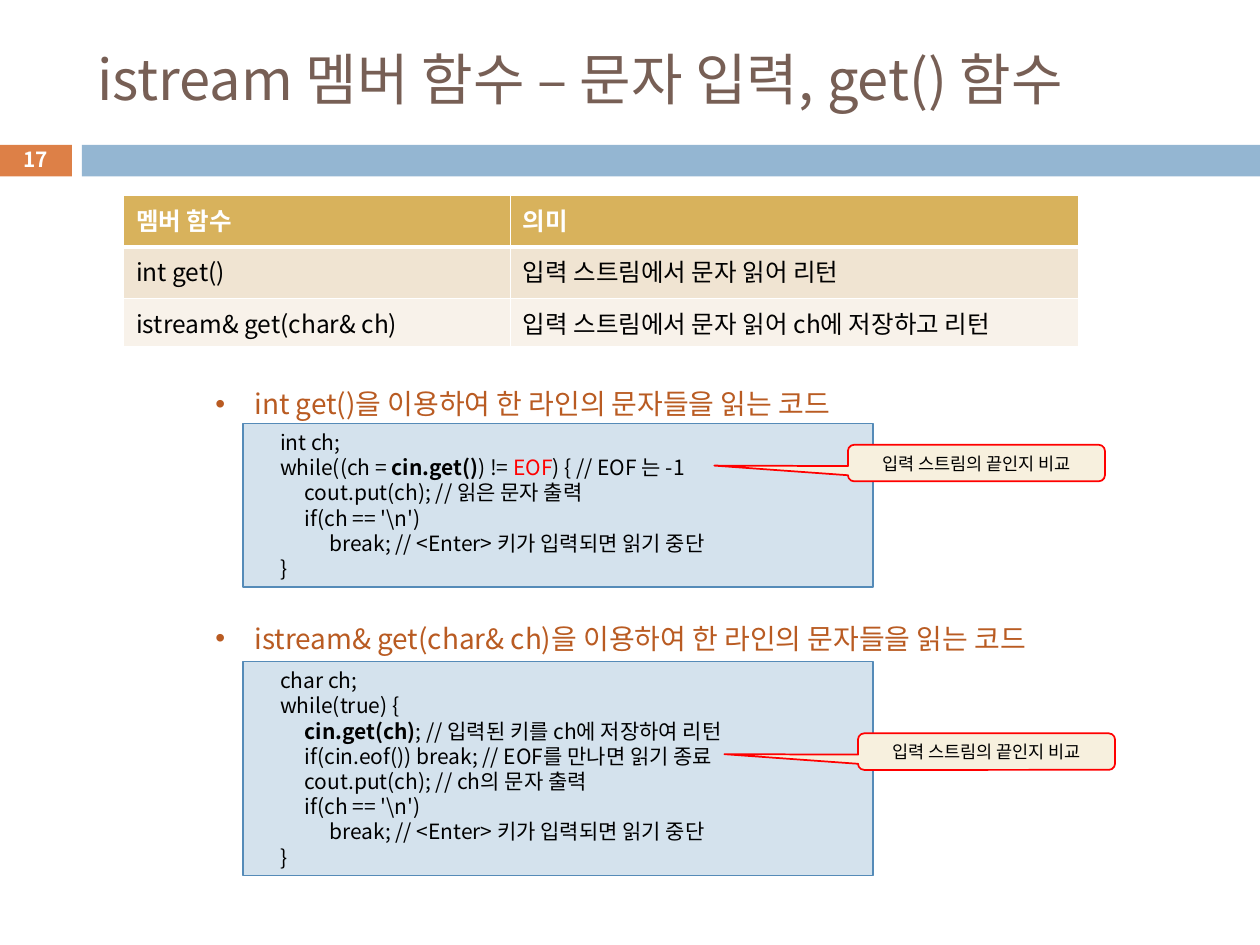
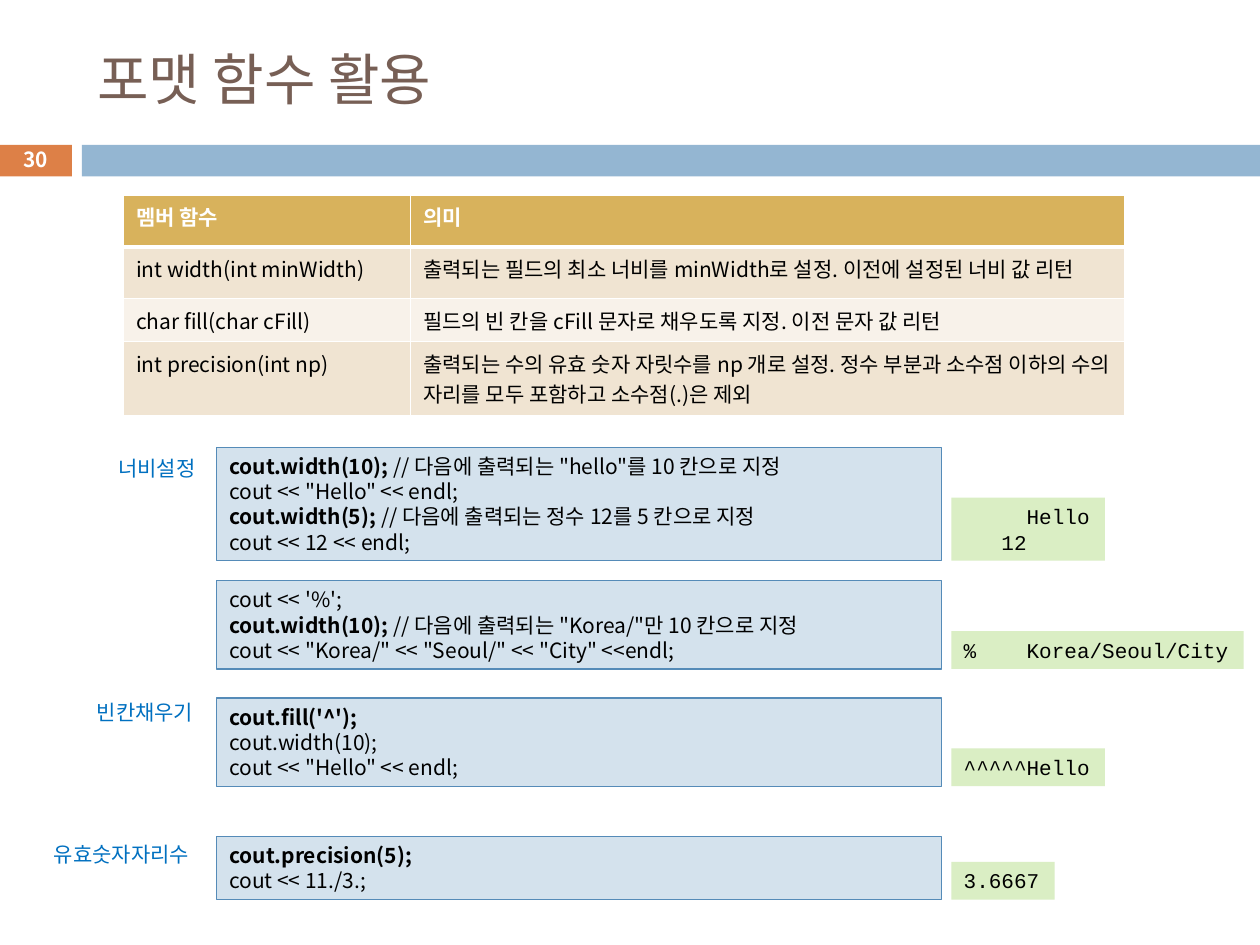
from dataclasses import dataclass

import lxml.etree
import pptx
import pptx.dml.color
import pptx.enum.shapes
import pptx.enum.text
import pptx.oxml.ns
import pptx.util

SHAPE = pptx.enum.shapes.MSO_SHAPE
ALIGN = pptx.enum.text.PP_ALIGN
ANCHOR = pptx.enum.text.MSO_ANCHOR
qn = pptx.oxml.ns.qn


@dataclass(frozen=True)
class Theme:
    font: str = "Noto Sans CJK KR"
    mono: str = "Courier New"
    title: str = "775F55"
    number_band: str = "DD8047"
    band: str = "94B6D2"
    header: str = "D8B25C"
    stripes: tuple = ("F0E4D2", "F8F2EA")
    code: str = "D4E2ED"
    code_line: str = "558BB8"
    output: str = "DAEEC4"
    callout: str = "F7F0DE"
    red: str = "FF0000"
    bullet: str = "B95B22"
    label: str = "0070C0"
    black: str = "000000"
    white: str = "FFFFFF"
    title_size: float = 32
    bullet_size: float = 16
    wide_table_size: float = 14
    body_size: float = 12
    number_size: float = 11.9
    note_size: float = 10


T = Theme()
COLS, ROWS = 100, 75
CELL = pptx.util.Inches(0.1)
INDENT = 1.95
CODE_COL, CODE_WIDTH = 17.2, 57.5
OUTPUT_COL = 75.5
BOLD = {"bold": True}


def grid(n):
    """Length of n grid cells."""
    return pptx.util.Emu(round(n * CELL))


def grid_box(*cells):
    return [grid(n) for n in cells]


def rgb(color):
    return pptx.dml.color.RGBColor.from_string(color)


def text_rows(lines):
    """Rows that body-size lines take, with the insets of their box."""
    return 2 * len(lines) + 1


def add_run(p, text, size=T.body_size, color=T.black, bold=False, font=T.font):
    r = p.add_run()
    r.text = text
    r.font.size = pptx.util.Pt(size)
    r.font.bold = bold
    r.font.color.rgb = rgb(color)
    r.font.name = font
    ea = lxml.etree.SubElement(r._r.get_or_add_rPr(), qn("a:ea"))
    ea.set("typeface", font)


def write(tf, lines, align=ALIGN.LEFT, anchor=ANCHOR.TOP, wrap=True,
          exact=True, **fmt):
    """Write lines: a string, or (depth, segment...) with segments as
    strings or (string, format) pairs."""
    tf.word_wrap = wrap
    tf.auto_size = pptx.enum.text.MSO_AUTO_SIZE.NONE
    tf.vertical_anchor = anchor
    for i, line in enumerate(lines):
        p = tf.paragraphs[0] if i == 0 else tf.add_paragraph()
        p.alignment = align
        p.space_before = pptx.util.Pt(0)
        if exact:
            p.line_spacing = pptx.util.Pt(1.2 * fmt.get("size", T.body_size))
        depth, *segments = (0, line) if isinstance(line, str) else line
        if depth:
            p._p.get_or_add_pPr().set("marL", str(grid(INDENT * depth)))
        for segment in segments:
            text, extra = (segment, {}) if isinstance(segment, str) else segment
            add_run(p, text, **{**fmt, **extra})


def add_box(shapes, box, fill, line=None, weight=0.75, kind=SHAPE.RECTANGLE):
    sp = shapes.add_shape(kind, *grid_box(*box))
    sp.shadow.inherit = False
    sp.fill.solid()
    sp.fill.fore_color.rgb = rgb(fill)
    if line:
        sp.line.color.rgb = rgb(line)
        sp.line.width = pptx.util.Pt(weight)
    else:
        sp.line.fill.background()
    return sp


def add_text(slide, box, lines, **fmt):
    write(slide.shapes.add_textbox(*grid_box(*box)).text_frame, lines, **fmt)


def add_code(slide, col, row, width, lines):
    sp = add_box(slide.shapes, (col, row, width, text_rows(lines)),
                 T.code, T.code_line)
    write(sp.text_frame, lines)


def add_output(slide, bottom, lines):
    """Console output, sized by its characters and standing on bottom."""
    height = text_rows(lines)
    width = max(map(len, lines)) + 2.2
    sp = add_box(slide.shapes, (OUTPUT_COL, bottom - height, width, height),
                 T.output)
    write(sp.text_frame, lines, wrap=False, font=T.mono)


def add_label(slide, row, text):
    width = 1.7 * len(text) + 2
    add_text(slide, (CODE_COL - width, row, width, 3), [text],
             wrap=False, color=T.label)


def add_callout(slide, col, row, text):
    sp = add_box(slide.shapes, (col, row, 20.4, 2.9), T.callout, T.red, 1,
                 SHAPE.ROUNDED_RECTANGULAR_CALLOUT)
    for i, value in enumerate((-1.02, 0.07, 0.17)):
        sp.adjustments[i] = value
    write(sp.text_frame, [text], align=ALIGN.CENTER, anchor=ANCHOR.MIDDLE,
          exact=False, size=T.note_size)


def fill_bullet(ph, box, text):
    ph.left, ph.top, ph.width, ph.height = grid_box(*box)
    write(ph.text_frame, [text], size=T.bullet_size, color=T.bullet)
    pPr = ph.text_frame.paragraphs[0]._p.get_or_add_pPr()
    pPr.set("marL", str(grid(3.1)))
    pPr.set("indent", str(-grid(3.1)))
    lxml.etree.SubElement(pPr, qn("a:buFont")).set("typeface", "Arial")
    lxml.etree.SubElement(pPr, qn("a:buChar")).set("char", "•")


def set_borders(cell, bottom):
    tcPr = cell._tc.get_or_add_tcPr()
    sides = (("lnL", 1), ("lnR", 1), ("lnT", 1), ("lnB", bottom))
    for i, (side, weight) in enumerate(sides):
        ln = lxml.etree.Element(qn(f"a:{side}"), w=str(pptx.util.Pt(weight)))
        fill = lxml.etree.SubElement(ln, qn("a:solidFill"))
        lxml.etree.SubElement(fill, qn("a:srgbClr")).set("val", T.white)
        tcPr.insert(i, ln)


def add_function_table(slide, widths, heights, rows, size):
    rows = [("멤버 함수", "의미"), *rows]
    frame = slide.shapes.add_table(
        len(rows), len(widths),
        *grid_box(9.8, 15.5, sum(widths), sum(heights)))
    table = frame.table
    for column, width in zip(table.columns, widths):
        column.width = grid(width)
    for i, texts in enumerate(rows):
        table.rows[i].height = grid(heights[i])
        head = i == 0
        for cell, text in zip(table.rows[i].cells, texts):
            cell.fill.solid()
            cell.fill.fore_color.rgb = rgb(
                T.header if head else T.stripes[(i - 1) % 2])
            set_borders(cell, 3 if head else 1)
            add_run(cell.text_frame.paragraphs[0], text, size=size, bold=head,
                    color=T.white if head else T.black)


def add_master_bands(prs, slide):
    """Draw the bands and move them to the back of the master."""
    tree = prs.slide_master.shapes.element
    bands = (((-0.1, 11.5, 5.8, 2.5), T.number_band),
             ((6.5, 11.5, COLS - 6.5, 2.5), T.band))
    for i, (box, color) in enumerate(bands):
        tree.insert(2 + i, add_box(slide.shapes, box, color).element)


def add_slide(prs, layout, title, number):
    slide = prs.slides.add_slide(prs.slide_layouts.get_by_name(layout))
    ph = slide.shapes.title
    ph.left, ph.top, ph.width, ph.height = grid_box(6.7, 2.5, 89.2, 7.4)
    write(ph.text_frame, [title], anchor=ANCHOR.MIDDLE, exact=False,
          size=T.title_size, color=T.title)
    add_text(slide, (-0.1, 11.3, 5.8, 2.7), [number], align=ALIGN.CENTER,
             anchor=ANCHOR.MIDDLE, exact=False, size=T.number_size,
             color=T.white, bold=True)
    return slide


def build_get_slide(prs):
    slide = add_slide(prs, "Two Content",
                      "istream 멤버 함수 – 문자 입력, get() 함수", "17")
    add_master_bands(prs, slide)
    add_function_table(slide, (30.7, 45.1), (4.1, 4.1, 3.7), [
        ("int get()", "입력 스트림에서 문자 읽어 리턴"),
        ("istream& get(char& ch)",
         "입력 스트림에서 문자 읽어 ch에 저장하고 리턴"),
    ], T.wide_table_size)
    newline_check = [
        (2, r"if(ch == '\n')"),
        (3, "break; // <Enter> 키가 입력되면 읽기 중단"),
        (1, "}"),
    ]
    add_code(slide, 19.3, 33.6, 50, [
        (1, "int ch;"),
        (1, "while((ch = ", ("cin.get()", BOLD), ") != ",
         ("EOF", {"color": T.red}), ") { // EOF 는 -1"),
        (2, "cout.put(ch); // 읽은 문자 출력"),
        *newline_check,
    ])
    add_code(slide, 19.3, 52.5, 50, [
        (1, "char ch;"),
        (1, "while(true) {"),
        (2, ("cin.get(ch)", BOLD), "; // 입력된 키를 ch에 저장하여 리턴"),
        (2, "if(cin.eof()) break; // EOF를 만나면 읽기 종료"),
        (2, "cout.put(ch); // ch의 문자 출력"),
        *newline_check,
    ])
    bullets = ((30.2, 57.5, "int get()"), (48.8, 75.6, "istream& get(char& ch)"))
    for idx, (row, width, name) in enumerate(bullets, 1):
        fill_bullet(slide.placeholders[idx], (16.1, row, width, 3.7),
                    f"{name}을 이용하여 한 라인의 문자들을 읽는 코드")
    for col, row in ((67.3, 35.3), (68.1, 58.2)):
        add_callout(slide, col, row, "입력 스트림의 끝인지 비교")


def build_format_slide(prs):
    slide = add_slide(prs, "Title Only", "포맷 함수 활용", "30")
    add_function_table(slide, (22.8, 56.7), (4.1, 4.1, 3.4, 5.8), [
        ("int width(int minWidth)",
         "출력되는 필드의 최소 너비를 minWidth로 설정. 이전에 설정된 너비 값 리턴"),
        ("char fill(char cFill)",
         "필드의 빈 칸을 cFill 문자로 채우도록 지정. 이전 문자 값 리턴"),
        ("int precision(int np)",
         "출력되는 수의 유효 숫자 자릿수를 np 개로 설정. 정수 부분과 소수점 "
         "이하의 수의 자리를 모두 포함하고 소수점(.)은 제외"),
    ], T.body_size)
    examples = [
        (35.5, [
            (0, ("cout.width(10); ", BOLD),
             '// 다음에 출력되는 "hello"를 10 칸으로 지정'),
            'cout << "Hello" << endl;',
            (0, ("cout.width(5); ", BOLD),
             "// 다음에 출력되는 정수 12를 5 칸으로 지정"),
            "cout << 12 << endl;",
        ], [f"{'Hello':>10}", f"{12:>5}"]),
        (46.1, [
            "cout << '%';",
            (0, ("cout.width(10); ", BOLD),
             '// 다음에 출력되는 "Korea/"만 10 칸으로 지정'),
            'cout << "Korea/" << "Seoul/" << "City" <<endl;',
        ], [f"%{'Korea/':>10}Seoul/City"]),
        (55.4, [
            (0, ("cout.fill('^');", BOLD)),
            "cout.width(10);",
            'cout << "Hello" << endl;',
        ], [f"{'Hello':^>10}"]),
        (66.4, [
            (0, ("cout.precision(5);", BOLD)),
            "cout << 11./3.;",
        ], ["3.6667"]),
    ]
    for row, code, output in examples:
        add_code(slide, CODE_COL, row, CODE_WIDTH, code)
        add_output(slide, row + text_rows(code), output)
    for row, text in ((35.7, "너비설정"), (55, "빈칸채우기"),
                      (66.3, "유효숫자자리수")):
        add_label(slide, row, text)


def main():
    prs = pptx.Presentation()
    prs.slide_width, prs.slide_height = grid_box(COLS, ROWS)
    build_get_slide(prs)
    build_format_slide(prs)
    prs.save("out.pptx")


if __name__ == "__main__":
    main()
